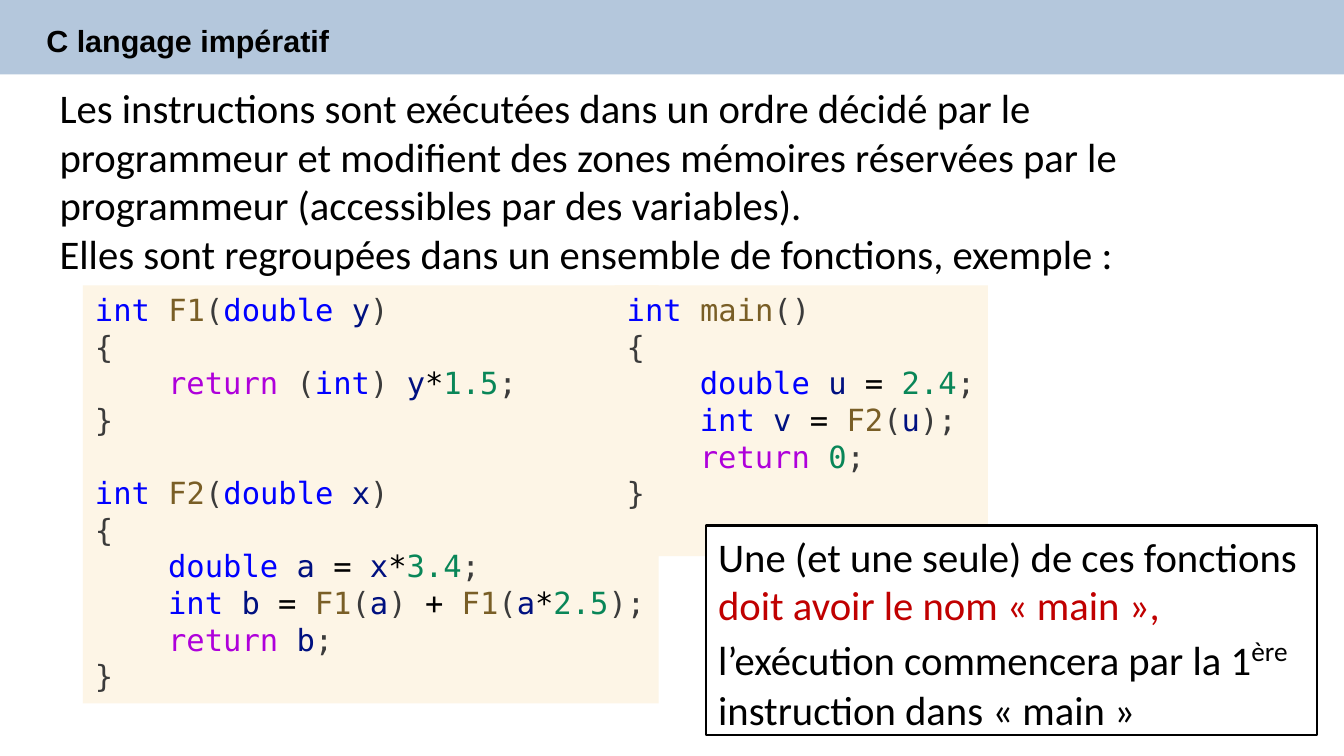
import itertools

import pptx
import pptx.dml.color
import pptx.enum.shapes
import pptx.enum.text
import pptx.util
from pptx.util import Inches

COLORS = {
    "banner": "B4C7DC",
    "code_panel": "FDF5E6",
    "white": "FFFFFF",
    "text": "000000",
    "emphasis": "C00000",
    "type": "0000FF",
    "control": "AF00DB",
    "function": "795E26",
    "variable": "001080",
    "number": "098658",
    "operator": "000000",
    "punctuation": "3B3B3B",
}

WORD_KINDS = {
    "int": "type",
    "double": "type",
    "return": "control",
    "F1": "function",
    "F2": "function",
    "main": "function",
}

INTRODUCTION = [
    "Les instructions sont exécutées dans un ordre décidé par le programmeur et "
    "modifient des zones mémoires réservées par le programmeur (accessibles par "
    "des variables).",
    "Elles sont regroupées dans un ensemble de fonctions, exemple :",
]

F1_CODE = ["int F1(double y)", "{", "    return (int) y*1.5;", "}"]
F2_CODE = [
    "int F2(double x)",
    "{",
    "    double a = x*3.4;",
    "    int b = F1(a) + F1(a*2.5);",
    "    return b;",
    "}",
]
MAIN_CODE = [
    "int main()",
    "{",
    "    double u = 2.4;",
    "    int v = F2(u);",
    "    return 0;",
    "}",
]

CODE_LINE = pptx.util.Pt(21.6)
CODE_INDENT = Inches(0.6)


def rgb(color):
    return pptx.dml.color.RGBColor.from_string(COLORS[color])


def format_font(font, name, size, color, bold=False):
    font.name = name
    font.size = pptx.util.Pt(size)
    font.bold = bold
    font.color.rgb = rgb(color)


def add_run(paragraph, text, name, size, color):
    run = paragraph.add_run()
    run.text = text
    format_font(run.font, name, size, color)
    return run


def add_title(slide, text):
    title = slide.shapes.title
    title.left, title.top = Inches(0), Inches(0)
    title.width, title.height = Inches(11.02), Inches(0.61)
    title.fill.solid()
    title.fill.fore_color.rgb = rgb("banner")
    frame = title.text_frame
    frame.text = text
    frame.auto_size = pptx.enum.text.MSO_AUTO_SIZE.NONE
    frame.vertical_anchor = pptx.enum.text.MSO_ANCHOR.MIDDLE
    frame.margin_left, frame.margin_top = Inches(0.38), Inches(0.1)
    paragraph = frame.paragraphs[0]
    paragraph.alignment = pptx.enum.text.PP_ALIGN.LEFT
    format_font(paragraph.runs[0].font, "Arial", 18, "text", bold=True)


def add_introduction(slide, texts):
    box = slide.shapes.add_textbox(Inches(0.39), Inches(0.63), Inches(9.98), Inches(1.84))
    frame = box.text_frame
    frame.word_wrap = True
    frame.text = "\n".join(texts)
    for paragraph in frame.paragraphs:
        format_font(paragraph.runs[0].font, "Calibri", 24, "text")


def add_panel(slide, left, top, width, height, fill):
    """Add a filled rectangle without outline, its text starting at the top left."""
    panel = slide.shapes.add_shape(
        pptx.enum.shapes.MSO_SHAPE.RECTANGLE,
        Inches(left), Inches(top), Inches(width), Inches(height),
    )
    panel.shadow.inherit = False
    panel.fill.solid()
    panel.fill.fore_color.rgb = rgb(fill)
    panel.line.fill.background()
    panel.text_frame.vertical_anchor = pptx.enum.text.MSO_ANCHOR.TOP
    panel.text_frame.paragraphs[0].alignment = pptx.enum.text.PP_ALIGN.LEFT
    return panel


def character_kind(character):
    if character.isalnum() or character == ".":
        return "word"
    return "operator" if character in "*=+" else "punctuation"


def token_color(kind, token):
    if kind != "word":
        return kind
    if token[0].isdigit():
        return "number"
    return WORD_KINDS.get(token, "variable")


def write_code_line(paragraph, line):
    """Write one line of C with a colour for each kind of token."""
    code = line.lstrip()
    paragraph.alignment = pptx.enum.text.PP_ALIGN.LEFT
    paragraph.line_spacing = CODE_LINE
    if code != line:
        properties = paragraph._p.get_or_add_pPr()
        properties.set("marL", str(CODE_INDENT))
        properties.set("indent", "0")
    for kind, characters in itertools.groupby(code, character_kind):
        token = "".join(characters)
        add_run(paragraph, token, "DejaVu Sans Mono", 18, token_color(kind, token))


def add_code(slide, left, width, height, functions):
    """Add a panel of C functions, set one line apart."""
    frame = add_panel(slide, left, 2.34, width, height, "code_panel").text_frame
    frame.word_wrap = False
    paragraph = frame.paragraphs[0]
    for function_index, lines in enumerate(functions):
        for line_index, line in enumerate(lines):
            if function_index or line_index:
                paragraph = frame.add_paragraph()
            if function_index and not line_index:
                paragraph.space_before = CODE_LINE
            write_code_line(paragraph, line)


def add_callout(slide):
    callout = add_panel(slide, 5.79, 4.31, 5.01, 1.72, "white")
    callout.line.color.rgb = rgb("text")
    callout.line.width = pptx.util.Pt(1.5)
    callout.text_frame.word_wrap = True
    paragraph = callout.text_frame.paragraphs[0]
    add_run(paragraph, "Une (et une seule) de ces fonctions ", "Calibri", 24, "text")
    add_run(paragraph, "doit avoir le nom « main », ", "Calibri", 24, "emphasis")
    add_run(paragraph, "l’exécution commencera par la 1", "Calibri", 24, "text")
    ordinal = add_run(paragraph, "ère", "Calibri", 27.7, "text")
    ordinal.font._element.set("baseline", "30000")
    add_run(paragraph, " instruction dans « main »", "Calibri", 24, "text")


def main():
    presentation = pptx.Presentation()
    presentation.slide_width = Inches(11.02)
    presentation.slide_height = Inches(6.2)
    slide = presentation.slides.add_slide(presentation.slide_layouts.get_by_name("Title Only"))
    add_title(slide, "C langage impératif")
    add_introduction(slide, INTRODUCTION)
    add_code(slide, 0.68, 4.72, 3.43, [F1_CODE, F2_CODE])
    add_code(slide, 5.04, 3.06, 2.22, [MAIN_CODE])
    add_callout(slide)
    presentation.save("out.pptx")


if __name__ == "__main__":
    main()
